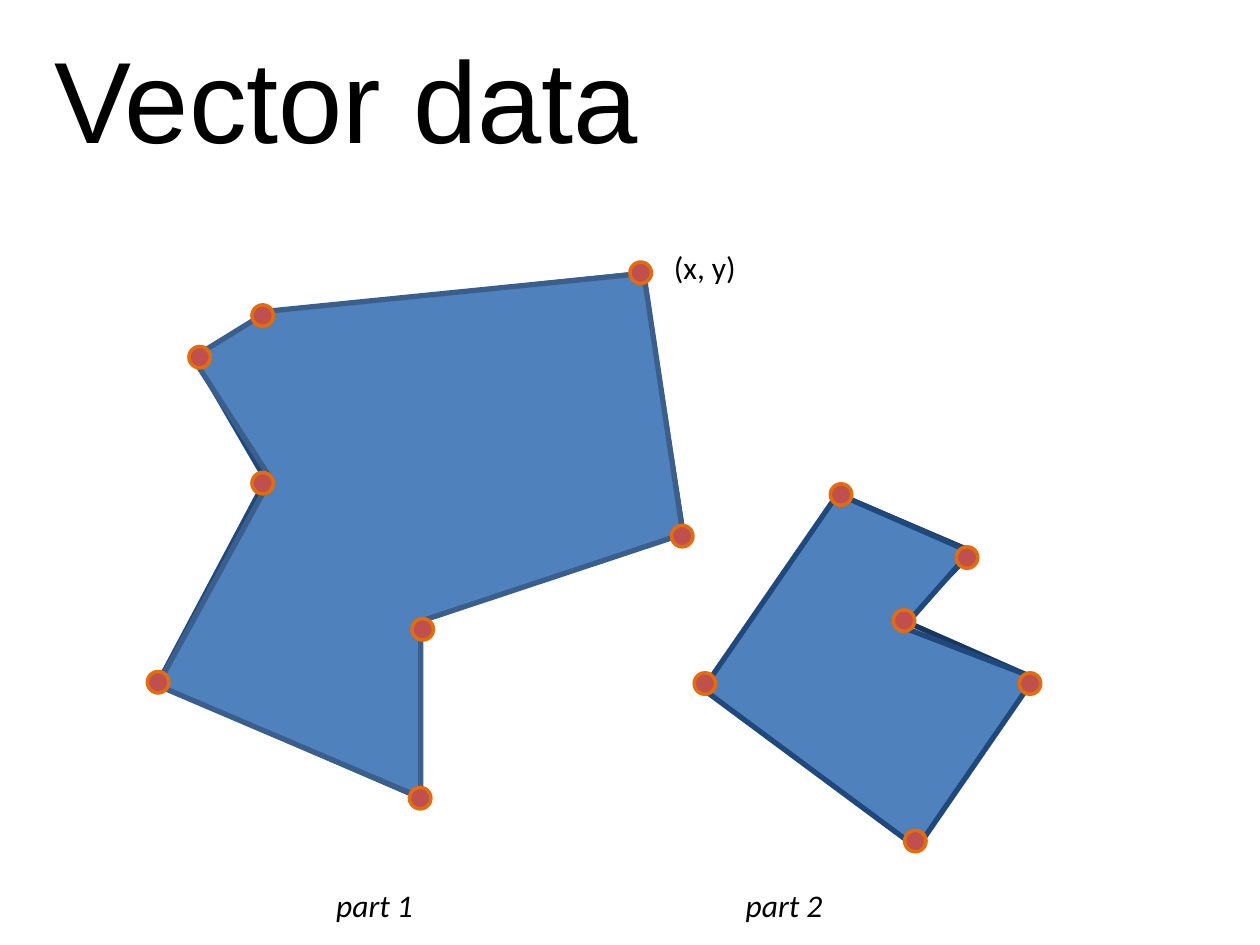
from dataclasses import dataclass

from pptx import Presentation
from pptx import util as u
from pptx.dml.color import RGBColor
from pptx.enum import shapes, text

COLORS = {
    "text": "000000",
    "polygon": "4F81BD",
    "part 1 edge": "3A5F8C",
    "part 2 edge": "1F497D",
    "part 2 border": "17375E",
    "vertex": "C0504D",
    "vertex ring": "E46C0A",
}
VERTEX_SIZE = 0.17


@dataclass(frozen=True)
class Outline:
    points: list[tuple[float, float]]
    edge: str
    fill: str | None = None


@dataclass(frozen=True)
class Label:
    wording: str
    left: float
    top: float
    width: float
    italic: bool


OUTLINES = [
    Outline([(6.67, 3.93), (7.72, 4.38), (7.18, 4.93), (8.2, 5.38),
             (7.29, 6.64), (5.64, 5.46)], "part 2 border"),
    Outline([(2.08, 2.49), (5.1, 2.17), (5.42, 4.22), (3.33, 4.93),
             (3.33, 6.33), (1.25, 5.43), (2.11, 3.81), (1.54, 2.83)],
            "part 2 edge"),
    Outline([(2.13, 2.47), (5.11, 2.17), (5.42, 4.24), (3.34, 4.93),
             (3.34, 6.33), (1.25, 5.44), (2.15, 3.8), (1.53, 2.84)],
            "part 1 edge", "polygon"),
    Outline([(6.65, 3.92), (5.58, 5.47), (7.28, 6.73), (8.21, 5.38),
             (7.17, 4.98), (7.7, 4.38)], "part 2 edge", "polygon"),
]
VERTICES = [
    (5, 2.08), (5.33, 4.17), (3.27, 4.91), (1.17, 5.33), (2, 3.75),
    (1.5, 2.75), (2, 2.42), (6.59, 3.84), (7.59, 4.34), (7.09, 4.84),
    (8.09, 5.34), (7.18, 6.59), (5.51, 5.34), (3.25, 6.25),
]
LABELS = [
    Label("part 1", 2.57, 6.98, 0.81, True),
    Label("part 2", 5.82, 6.98, 0.81, True),
    Label("(x, y)", 5.25, 1.92, 0.7, False),
]


def length(inches: float) -> u.Length:
    return u.Cm(inches * 2.54)


def color(name: str) -> RGBColor:
    return RGBColor.from_string(COLORS[name])


def apply(target, values: dict) -> None:
    for attribute, value in values.items():
        setattr(target, attribute, value)


def paint(shape, fill: str | None, edge: str, weight: float) -> None:
    shape.shadow.inherit = False
    if fill:
        shape.fill.solid()
        shape.fill.fore_color.rgb = color(fill)
    else:
        shape.fill.background()
    shape.line.color.rgb = color(edge)
    shape.line.width = u.Pt(weight)


def write(shape, wording: str, frame_format: dict, font_format: dict) -> None:
    shape.text_frame.text = wording
    apply(shape.text_frame, frame_format)
    paragraph = shape.text_frame.paragraphs[0]
    paragraph.alignment = text.PP_ALIGN.LEFT
    font = paragraph.runs[0].font
    apply(font, font_format)
    font.color.rgb = color("text")


def draw_outline(slide, outline: Outline) -> None:
    start, *others = [(length(x), length(y)) for x, y in outline.points]
    builder = slide.shapes.build_freeform(*start)
    builder.add_line_segments(others, close=outline.fill is not None)
    paint(builder.convert_to_shape(), outline.fill, outline.edge, 3)


def draw_vertex(slide, left: float, top: float) -> None:
    vertex = slide.shapes.add_shape(
        shapes.MSO_SHAPE.OVAL, length(left), length(top),
        length(VERTEX_SIZE), length(VERTEX_SIZE))
    paint(vertex, "vertex", "vertex ring", 2)


def draw_label(slide, label: Label) -> None:
    box = slide.shapes.add_textbox(
        length(label.left), length(label.top), length(label.width), length(0.4))
    write(box, label.wording,
          {"word_wrap": False, "auto_size": text.MSO_AUTO_SIZE.SHAPE_TO_FIT_TEXT},
          {"name": "Calibri", "size": u.Pt(18), "italic": label.italic})


def main() -> None:
    deck = Presentation()
    apply(deck, {"slide_width": u.Cm(25.4), "slide_height": u.Cm(19.05)})
    slide = deck.slides.add_slide(deck.slide_layouts[5])

    heading = slide.shapes.title
    apply(heading, {"left": length(0.33), "top": length(0.17),
                    "width": length(8.92), "height": length(1.21)})
    write(heading, "Vector data",
          {"word_wrap": True, "vertical_anchor": text.MSO_ANCHOR.TOP,
           "auto_size": text.MSO_AUTO_SIZE.SHAPE_TO_FIT_TEXT},
          {"name": "Arial", "size": u.Pt(66)})

    for outline in OUTLINES:
        draw_outline(slide, outline)
    for left, top in VERTICES:
        draw_vertex(slide, left, top)
    for label in LABELS:
        draw_label(slide, label)

    deck.save("out.pptx")


if __name__ == "__main__":
    main()
